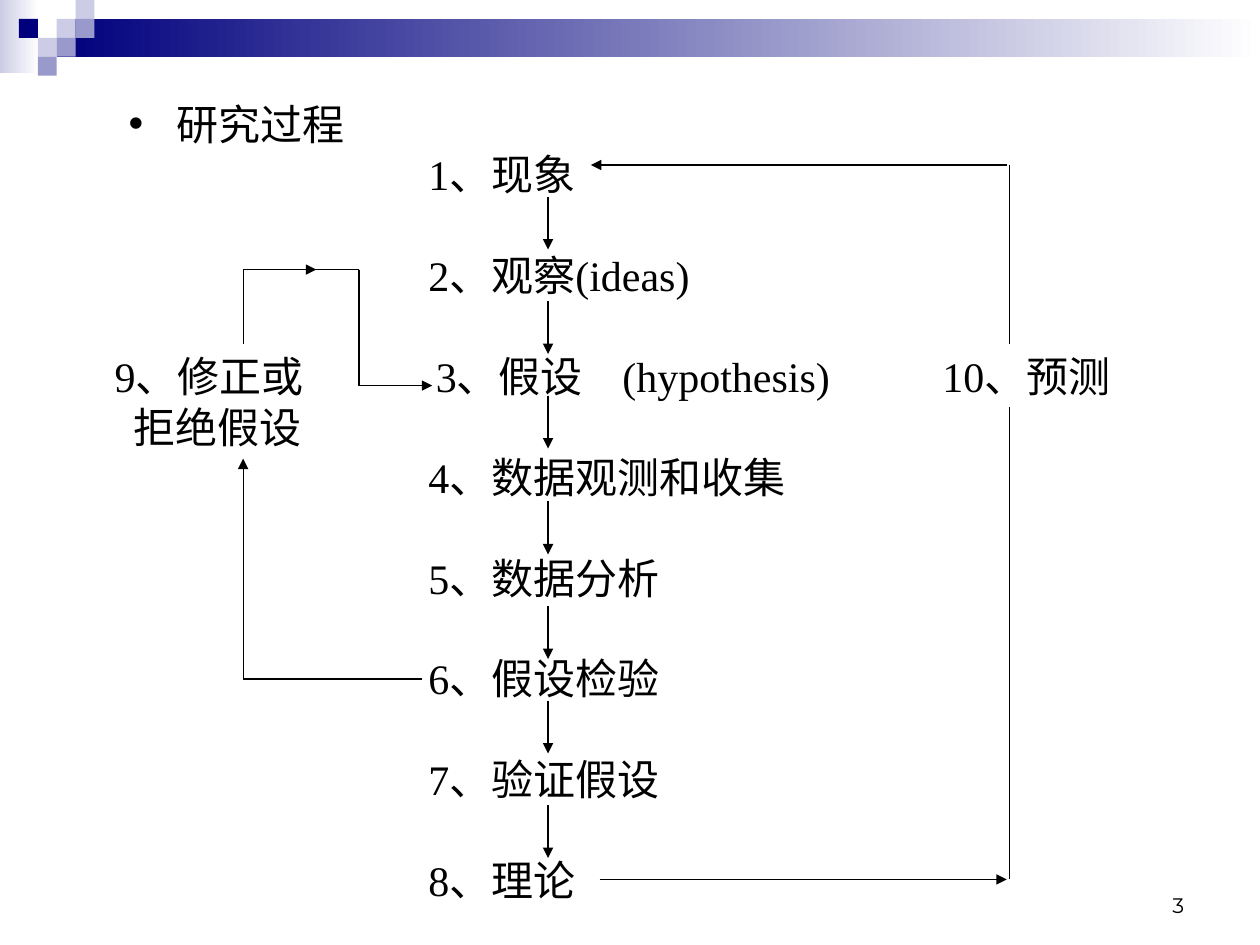
from pptx import Presentation
from pptx.dml.color import RGBColor
from pptx.enum.shapes import MSO_CONNECTOR, MSO_SHAPE
from pptx.enum.text import MSO_ANCHOR, MSO_AUTO_SIZE, PP_ALIGN
from pptx.oxml.ns import qn
from pptx.util import Inches, Pt
from lxml.etree import SubElement

BLACK = RGBColor(0x00, 0x00, 0x00)
WHITE = RGBColor(0xFF, 0xFF, 0xFF)
NAVY = RGBColor(0x00, 0x00, 0x7D)
MID = RGBColor(0x99, 0x99, 0xCC)
PALE = RGBColor(0xCC, 0xCC, 0xE6)

FRAME = {"word_wrap": True, "auto_size": MSO_AUTO_SIZE.NONE,
         "vertical_anchor": MSO_ANCHOR.TOP, "margin_left": 0,
         "margin_right": 0, "margin_top": 0, "margin_bottom": 0}
PARA = {"alignment": PP_ALIGN.LEFT, "line_spacing": 0.8, "space_before": Pt(0)}
FONT = {"name": "Times New Roman", "size": Pt(24), "bold": False}


def style(frame, **font):
    """Apply the shared frame, paragraph and font formats."""
    for key, val in FRAME.items():
        setattr(frame, key, val)
    for para in frame.paragraphs:
        for key, val in PARA.items():
            setattr(para, key, val)
        for key, val in (FONT | font).items():
            setattr(para.font, key, val)
        para.font.color.rgb = BLACK


prs = Presentation()
prs.slide_width, prs.slide_height = Inches(10), Inches(7.5)
slide = prs.slides.add_slide(prs.slide_layouts[5])
shapes = slide.shapes

# Header band: two gradient bars, then squares on a grid
for left, top, width, height, tint in [(0, 0, 0.31, 0.58, PALE),
                                       (0.45, 0.15, 9.55, 0.3, NAVY)]:
    bar = shapes.add_shape(MSO_SHAPE.RECTANGLE, Inches(left), Inches(top),
                           Inches(width), Inches(height))
    bar.shadow.inherit = False
    bar.line.fill.background()
    bar.fill.gradient()
    bar.fill.gradient_angle = 0
    for stop, color, pos in zip(bar.fill.gradient_stops, (tint, WHITE), (0, 1)):
        stop.color.rgb = color
        stop.position = pos

UNIT = 0.15
for col, row, tint in [(3, 1, PALE), (4, 0, PALE), (4, 1, MID), (2, 2, PALE),
                       (1, 1, NAVY), (3, 2, MID), (2, 3, MID)]:
    tile = shapes.add_shape(MSO_SHAPE.RECTANGLE, Inches(col * UNIT),
                            Inches(row * UNIT), Inches(UNIT), Inches(UNIT))
    tile.shadow.inherit = False
    tile.line.fill.background()
    tile.fill.solid()
    tile.fill.fore_color.rgb = tint

# Heading
title = shapes.title
title.left, title.top = Inches(1.02), Inches(0.86)
title.width, title.height = Inches(8), Inches(0.36)
title.text_frame.text = "研究过程"
props = title.text_frame.paragraphs[0]._p.get_or_add_pPr()
props.set("marL", str(Inches(0.38)))
props.set("indent", str(Inches(-0.38)))
SubElement(props, qn("a:buFont"), typeface="Arial")
SubElement(props, qn("a:buChar"), char="•")
style(title.text_frame, name="Arial")

# Numbered steps, one row each; the side notes share the row of step 3
FIRST, PITCH = 1.26, 0.8
STEPS = ["1、现象", "2、观察(ideas)", "3、假设\t(hypothesis)", "4、数据观测和收集",
         "5、数据分析", "6、假设检验", "7、验证假设", "8、理论"]
notes = [(3.46 if row == 2 else 3.4, row, 3.8, step)
         for row, step in enumerate(STEPS)]
notes += [(0.91, 2, 1.9, "9、修正或\n拒绝假设"), (7.48, 2, 1.8, "10、预测")]
for left, row, width, text in notes:
    lines = text.count("\n") + 1
    box = shapes.add_textbox(Inches(left), Inches(FIRST + row * PITCH),
                             Inches(width), Inches(0.4 * lines))
    frame = box.text_frame
    frame.text = text
    if "\t" in text:
        props = frame.paragraphs[0]._p.get_or_add_pPr()
        tabs = SubElement(props, qn("a:tabLst"))
        SubElement(tabs, qn("a:tab"), pos=str(Inches(1.48)), algn="l")
    style(frame)
    for para in frame.paragraphs[1:]:
        para.space_before = Pt(6)
        para._p.get_or_add_pPr().set("marL", str(Inches(0.15)))

# Flow lines: start x, start y, end x, end y, arrowhead
flow = [(8.01, 1.31, 8.01, 2.73, False), (8.01, 3.23, 8.01, 6.98, False),
        (7.99, 1.31, 4.69, 1.31, True), (4.76, 6.98, 7.99, 6.98, True),
        (3.35, 5.39, 1.93, 5.39, False), (1.93, 5.39, 1.93, 3.64, True),
        (1.93, 2.73, 1.93, 2.14, False), (1.93, 2.14, 2.51, 2.14, True),
        (2.35, 2.14, 2.85, 2.14, False), (2.85, 2.14, 2.85, 3.06, False),
        (2.85, 3.06, 3.43, 3.06, True)]
flow += [(4.35, y, 4.35, y + 0.42, True)
         for y in (1.56, 2.39, 3.14, 3.98, 4.81, 5.56, 6.39)]
for *ends, arrow in flow:
    link = shapes.add_connector(MSO_CONNECTOR.STRAIGHT, *map(Inches, ends))
    link.line.color.rgb = BLACK
    link.line.width = Pt(0.75)
    if arrow:
        SubElement(link.line._get_or_add_ln(), qn("a:tailEnd"), type="triangle")
    SubElement(link._element.spPr, qn("a:effectLst"))

# Page number
page = shapes.add_textbox(Inches(7.17), Inches(6.83), Inches(2.23), Inches(0.45))
page.text_frame.text = "3"
style(page.text_frame, name="Montserrat", size=Pt(12))
page.text_frame.vertical_anchor = MSO_ANCHOR.BOTTOM
page.text_frame.paragraphs[0].alignment = PP_ALIGN.RIGHT
page.text_frame.paragraphs[0].line_spacing = 1.0

prs.save("out.pptx")
